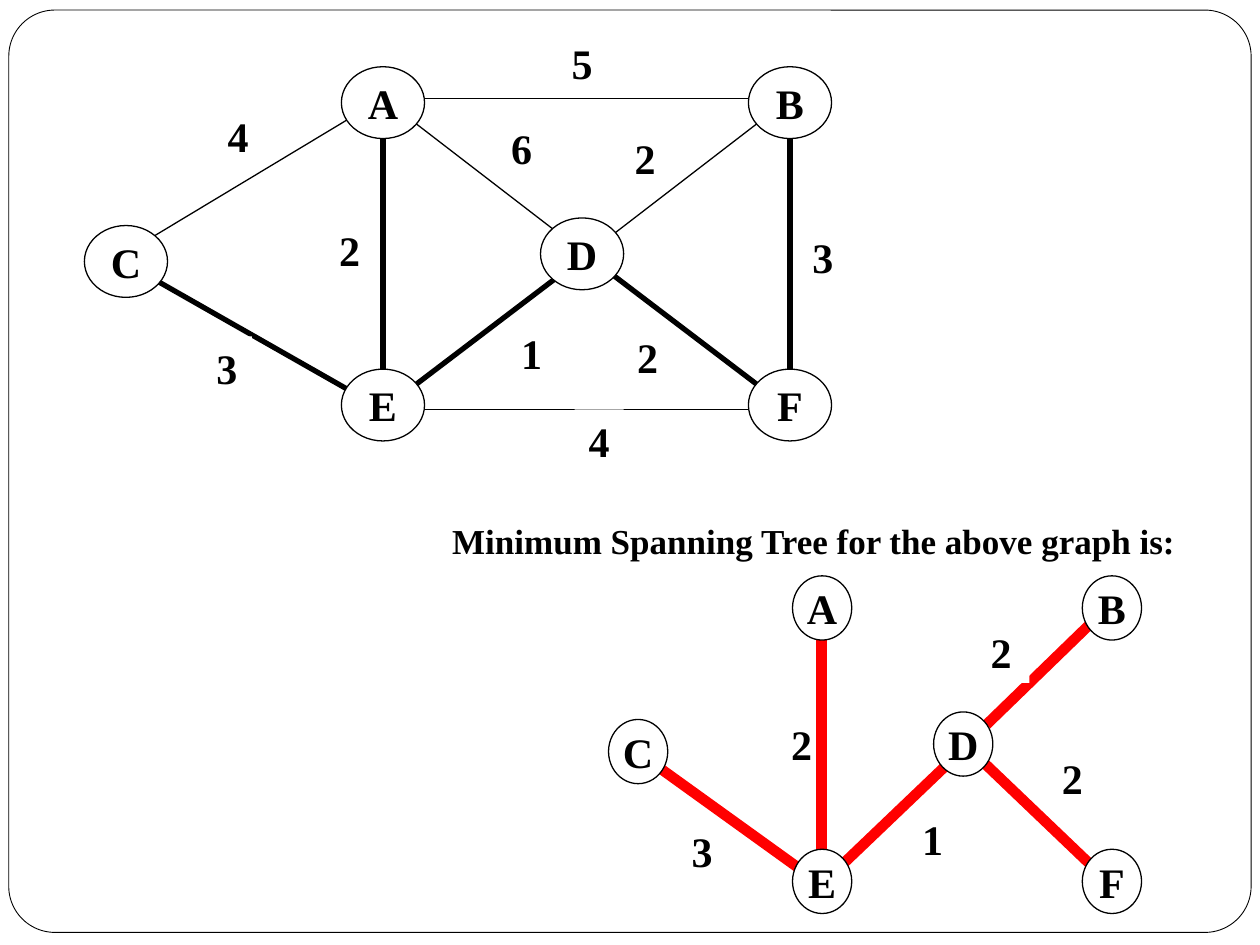
import pptx
import pptx.dml.color
import pptx.enum.shapes
import pptx.enum.text
import pptx.util
from lxml import etree
from pptx.util import Inches

FONT = "Times New Roman"
BLACK, WHITE, RED = "000000", "FFFFFF", "FF0000"
THIN, BOLD, TREE = 0.75, 3, 6
SHAPE = pptx.enum.shapes.MSO_SHAPE
ALIGN = pptx.enum.text.PP_ALIGN
ANCHOR = pptx.enum.text.MSO_ANCHOR

CAPTION = "Minimum Spanning Tree for the above graph is:"

# nodes: left, top; anchors: where edges end; edges: anchor, anchor, line width
# labels: weight, left, top, width
GRAPH = {
    "color": BLACK,
    "node_size": (0.66, 0.57),
    "nodes": {"C": (0.67, 1.79), "F": (5.94, 2.93), "E": (2.71, 2.93),
              "A": (2.71, 0.53), "B": (5.94, 0.53), "D": (4.29, 1.73)},
    "anchors": {"A": (3.04, 0.78), "B": (6.27, 0.78), "C": (0.93, 2.05),
                "E": (3.04, 3.25), "F": (6.27, 3.25),
                "D left": (4.62, 2.05), "D right": (4.69, 2.05)},
    "edges": [("E", "F", THIN), ("F", "B", BOLD), ("B", "A", THIN),
              ("A", "E", BOLD), ("D right", "F", BOLD), ("A", "D right", THIN),
              ("D left", "E", BOLD), ("D left", "B", THIN),
              ("C", "A", THIN), ("C", "E", BOLD)],
    "labels": [("5", 4.42, 0.25, 0.4), ("6", 3.94, 0.92, 0.4),
               ("4", 1.69, 0.83, 0.4), ("3", 1.6, 2.67, 0.4),
               ("4", 4.56, 3.25, 0.39), ("2", 2.58, 1.73, 0.39),
               ("1", 4.02, 2.55, 0.4), ("2", 4.94, 2.58, 0.4),
               ("3", 6.33, 1.79, 0.4), ("2", 4.92, 1.0, 0.4)],
}
SPANNING_TREE = {
    "color": RED,
    "node_size": (0.47, 0.51),
    "nodes": {"C": (4.83, 5.71), "F": (8.59, 6.74), "E": (6.29, 6.74),
              "A": (6.29, 4.57), "B": (8.59, 4.57), "D": (7.41, 5.65)},
    "anchors": {"A": (6.52, 4.8), "B": (8.82, 4.79), "C": (5.02, 5.94),
                "E": (6.52, 7.02), "F": (8.82, 7.02), "D top": (7.83, 5.75),
                "D left": (7.65, 5.94), "D right": (7.69, 5.94)},
    "edges": [("D top", "B", TREE), ("A", "E", TREE), ("D right", "F", TREE),
              ("D left", "E", TREE), ("C", "E", TREE)],
    "labels": [("3", 5.39, 6.5, 0.28), ("2", 6.18, 5.65, 0.28),
               ("1", 7.22, 6.41, 0.28), ("2", 8.33, 5.92, 0.28),
               ("2", 7.72, 4.92, 0.45)],
}


def rgb(value):
    return pptx.dml.color.RGBColor.from_string(value)


def write(box, text, size=24, align=ALIGN.CENTER, anchor=ANCHOR.TOP, wrap=True):
    frame = box.text_frame
    frame.word_wrap = wrap
    frame.vertical_anchor = anchor
    para = frame.paragraphs[0]
    para.alignment = align
    span = para.add_run()
    span.text = text
    span.font.name = FONT
    span.font.size = pptx.util.Pt(size)
    span.font.bold = True
    span.font.color.rgb = rgb(BLACK)


def add_box(page, kind, left, top, width, height, fill=WHITE, line=None):
    box = page.shapes.add_shape(kind, Inches(left), Inches(top),
                                Inches(width), Inches(height))
    box.shadow.inherit = False
    if fill:
        box.fill.solid()
        box.fill.fore_color.rgb = rgb(fill)
    else:
        box.fill.background()
    if line:
        box.line.color.rgb = rgb(BLACK)
        box.line.width = pptx.util.Pt(line)
    else:
        box.line.fill.background()
    return box


def add_edge(page, start, end, color, width):
    edge = page.shapes.add_connector(pptx.enum.shapes.MSO_CONNECTOR.STRAIGHT,
                                     *map(Inches, start + end))
    edge.line.color.rgb = rgb(color)
    edge.line.width = pptx.util.Pt(width)
    properties = edge.line._get_or_add_ln().getparent()
    etree.SubElement(properties, pptx.oxml.ns.qn("a:effectLst"))


def draw_graph(page, graph):
    anchors = graph["anchors"]
    for start, end, width in graph["edges"]:
        add_edge(page, anchors[start], anchors[end], graph["color"], width)
    for name, place in graph["nodes"].items():
        node = add_box(page, SHAPE.OVAL, *place, *graph["node_size"], line=THIN)
        write(node, name, anchor=ANCHOR.MIDDLE, wrap=False)
    for weight, left, top, width in graph["labels"]:
        write(add_box(page, SHAPE.RECTANGLE, left, top, width, 0.5), weight)


def main():
    deck = pptx.Presentation()
    deck.slide_width, deck.slide_height = Inches(10), Inches(7.5)
    page = deck.slides.add_slide(deck.slide_layouts[6])

    # Rounded page frame
    frame = add_box(page, SHAPE.ROUNDED_RECTANGLE, 0.07, 0.08, 9.86, 7.32,
                    fill=None, line=0.5)
    frame.adjustments[0] = 0.05

    # Weighted graph and its spanning tree
    for graph in (GRAPH, SPANNING_TREE):
        draw_graph(page, graph)

    # Caption above the tree
    caption = page.shapes.add_textbox(Inches(3.49), Inches(4.07),
                                      Inches(5.97), Inches(0.44))
    write(caption, CAPTION, size=20, align=ALIGN.LEFT, wrap=False)

    deck.save("out.pptx")


if __name__ == "__main__":
    main()
